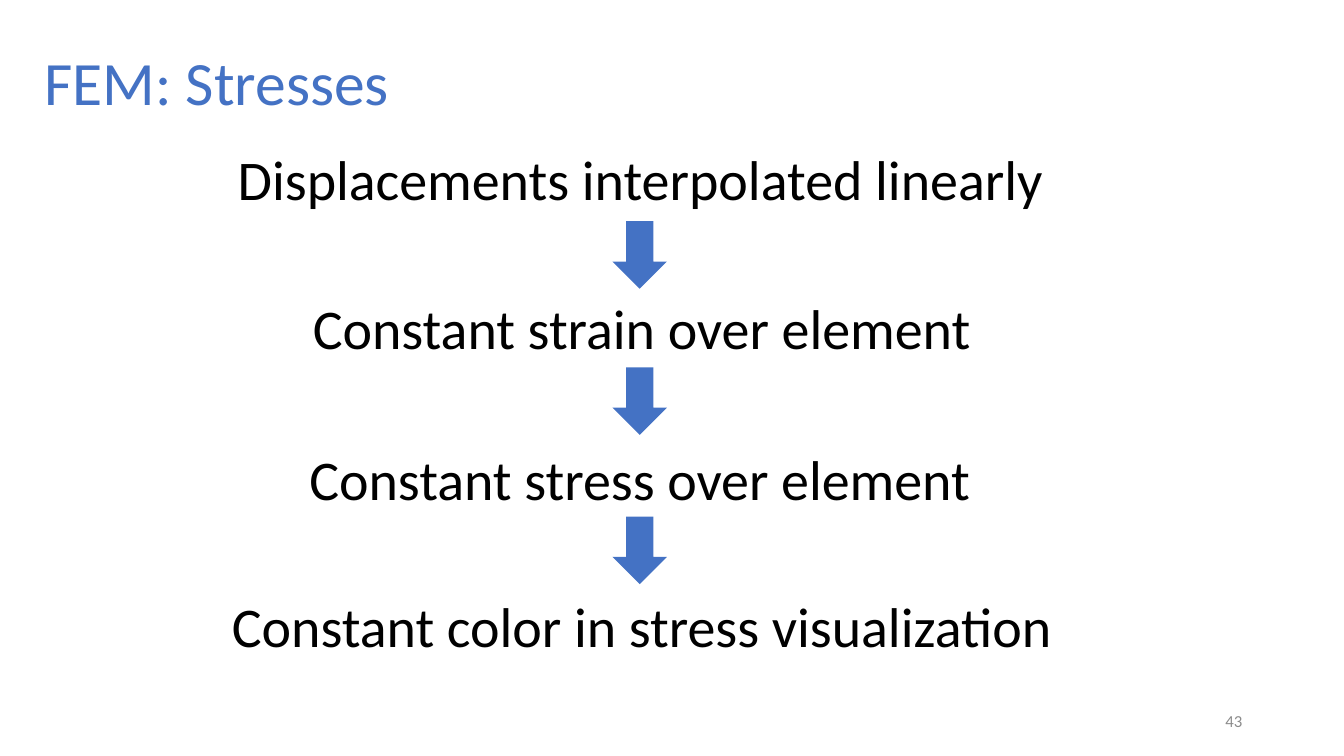
from pptx import Presentation
from pptx import util as u
from pptx.dml.color import RGBColor
from pptx.enum import shapes, text

PX = u.Inches(1) // 100


def px(*lengths):
    return [length * PX for length in lengths]


def rgb(value):
    return RGBColor.from_string(value)


class SlideBuilder:
    """Holds the style and the current slide, and adds each kind of element."""

    font = "Calibri"
    accent = "4472C4"
    ink = "000000"
    muted = "8C8C8C"

    def __init__(self, presentation):
        self.slide = presentation.slides.add_slide(presentation.slide_layouts[5])

    def set_text(self, shape, words, size, color, align, anchor):
        frame = shape.text_frame
        frame.word_wrap = True
        frame.vertical_anchor = anchor
        frame.text = words
        paragraph = frame.paragraphs[0]
        paragraph.alignment = align
        paragraph.font.name = self.font
        paragraph.font.size = u.Pt(size)
        paragraph.font.color.rgb = rgb(color)
        return paragraph

    def title(self, words, box):
        shape = self.slide.shapes.title
        shape.left, shape.top, shape.width, shape.height = px(*box)
        paragraph = self.set_text(shape, words, 44, self.accent,
                                  text.PP_ALIGN.LEFT, text.MSO_ANCHOR.MIDDLE)
        paragraph.line_spacing = 0.9

    def statement(self, words, box):
        shape = self.slide.shapes.add_textbox(*px(*box))
        self.set_text(shape, words, 40, self.ink,
                      text.PP_ALIGN.CENTER, text.MSO_ANCHOR.TOP)
        shape.text_frame.auto_size = text.MSO_AUTO_SIZE.SHAPE_TO_FIT_TEXT

    def down_arrow(self, box):
        shape = self.slide.shapes.add_shape(shapes.MSO_SHAPE.RIGHT_ARROW, *px(*box))
        shape.rotation = 90
        shape.shadow.inherit = False
        shape.fill.solid()
        shape.fill.fore_color.rgb = rgb(self.accent)
        shape.line.fill.background()

    def page_number(self, words, box):
        shape = self.slide.shapes.add_textbox(*px(*box))
        self.set_text(shape, words, 12, self.muted,
                      text.PP_ALIGN.RIGHT, text.MSO_ANCHOR.MIDDLE)


def main():
    presentation = Presentation()
    presentation.slide_width, presentation.slide_height = px(1333, 750)
    builder = SlideBuilder(presentation)
    builder.title("FEM: Stresses", (34, 27, 1269, 115))

    statements = [
        ("Displacements interpolated linearly", 222, 138, 826),
        ("Constant strain over element", 245, 286, 783),
        ("Constant stress over element", 285, 436, 699),
        ("Constant color in stress visualization", 208, 582, 857),
    ]
    for words, left, top, width in statements:
        builder.statement(words, (left, top, width, 77))
    for top in (226, 371, 519):
        builder.down_arrow((601, top, 67, 54))

    builder.page_number("43", (942, 695, 300, 40))
    presentation.save("out.pptx")


if __name__ == "__main__":
    main()
